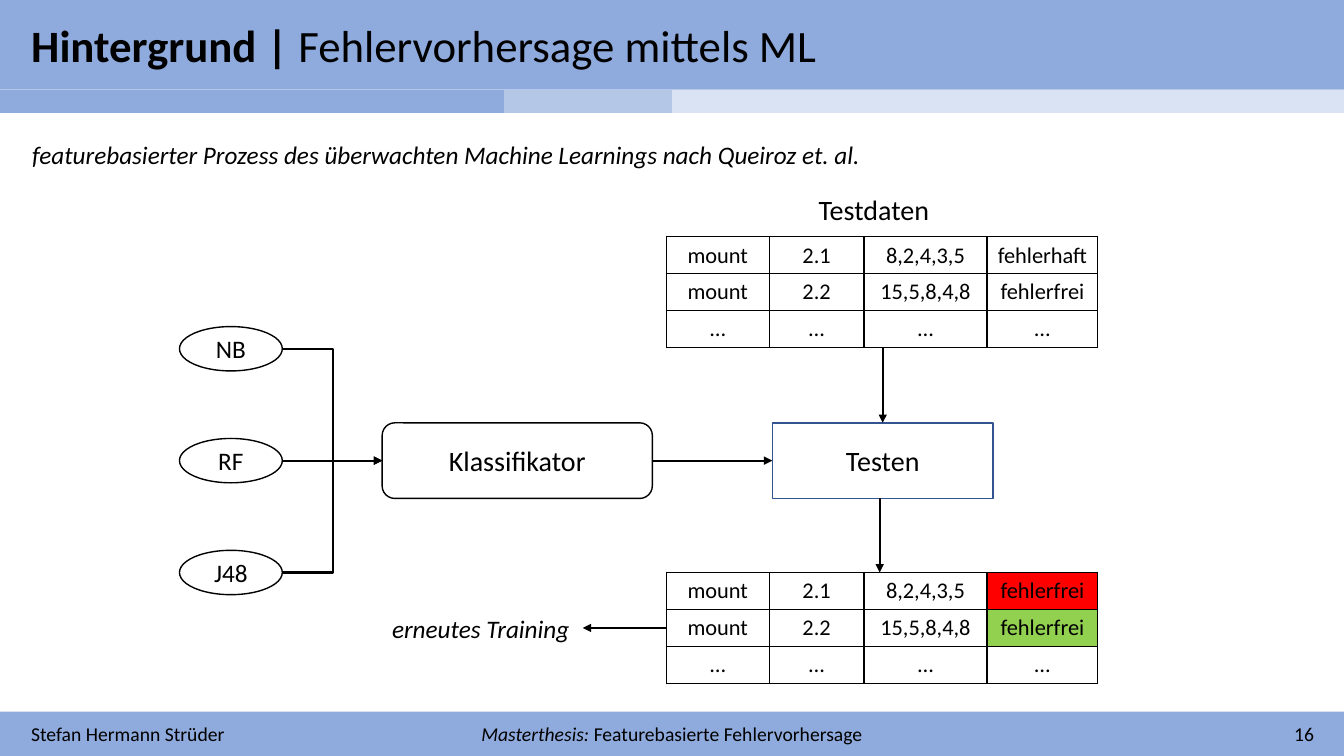
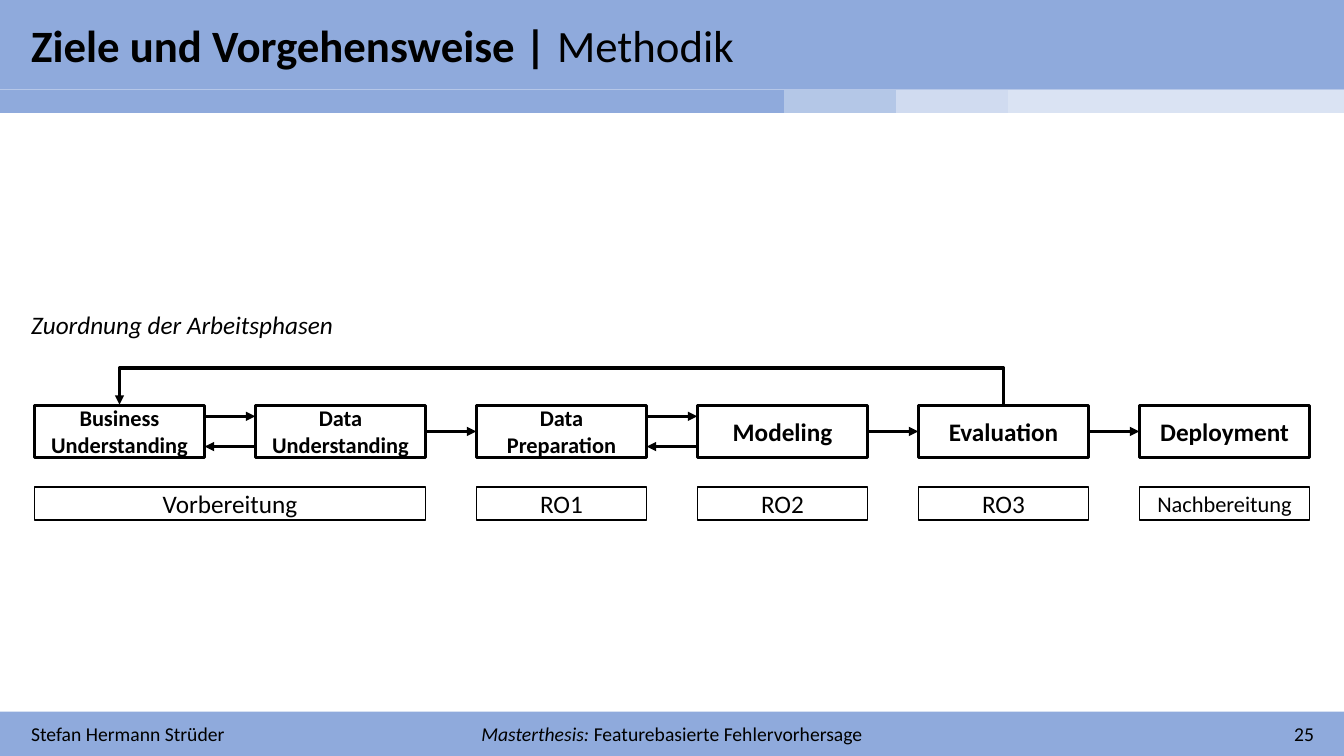
from lxml import etree
from pptx import Presentation
from pptx.dml.color import RGBColor
from pptx.enum.shapes import MSO_CONNECTOR, MSO_SHAPE
from pptx.enum.text import MSO_ANCHOR, MSO_AUTO_SIZE, PP_ALIGN
from pptx.oxml.ns import qn
from pptx.util import Inches, Pt

RECT, ROUNDED, OVAL = MSO_SHAPE.RECTANGLE, MSO_SHAPE.ROUNDED_RECTANGLE, MSO_SHAPE.OVAL
STRAIGHT, ELBOW = MSO_CONNECTOR.STRAIGHT, MSO_CONNECTOR.ELBOW
LEFT, CENTER, RIGHT = PP_ALIGN.LEFT, PP_ALIGN.CENTER, PP_ALIGN.RIGHT
MIDDLE = MSO_ANCHOR.MIDDLE

FONT = "Calibri"
COLORS = {name: RGBColor.from_string(value) for name, value in {
    "text": "000000", "paper": "FFFFFF", "band": "8FAADC", "current": "B4C7E7",
    "next": "D0DBF0", "open": "DAE3F3", "testing": "325491",
    "wrong": "FF0000", "right": "92D050",
}.items()}
PLAIN_TABLE = "{2D5ABB26-0587-4C30-8999-92F81FD0307C}"
W, H = 13.33, 7.5
TITLE_H, PROGRESS_H, FOOTER_H = 0.89, 0.23, 0.44
PROGRESS_SHARES = [3, 1.5, 1.5, 1, 1, 1, 3]


def add_text(slide, at, text, size, align=LEFT, bold=False, italic=False,
             outline=None, weight=1, kind=RECT):
    """Add a text box, or an outlined white shape if an outline colour is given."""
    place = [Inches(length) for length in at]
    if outline:
        box = slide.shapes.add_shape(kind, *place)
        box.shadow.inherit = False
        box.fill.solid()
        box.fill.fore_color.rgb = COLORS["paper"]
        box.line.color.rgb = COLORS[outline]
        box.line.width = Pt(weight)
    else:
        box = slide.shapes.add_textbox(*place)
    frame = box.text_frame
    frame.word_wrap = True
    frame.vertical_anchor = MIDDLE
    frame.margin_top = frame.margin_bottom = 0
    frame.text = text
    for paragraph in frame.paragraphs:
        paragraph.alignment = align
        for run in paragraph.runs:
            run.font.name, run.font.size = FONT, Pt(size)
            run.font.bold, run.font.italic = bold, italic
            run.font.color.rgb = COLORS["text"]
    return box


def add_arrow(slide, start, end, weight=1.5, kind=STRAIGHT):
    arrow = slide.shapes.add_connector(kind, *[Inches(v) for v in (*start, *end)])
    arrow.line.color.rgb = COLORS["text"]
    arrow.line.width = Pt(weight)
    properties = arrow._element.spPr
    etree.SubElement(properties.find(qn("a:ln")), qn("a:tailEnd"), type="triangle")
    etree.SubElement(properties, qn("a:effectLst"))
    return arrow


prs = Presentation()
prs.slide_width, prs.slide_height = Inches(W), Inches(H)
title_only = prs.slide_layouts[5]

# Title, progress strip and footer of both slides
slides = []
for section, topic, number, progress in [
    ("Hintergrund | ", "Fehlervorhersage mittels ML", "16",
     ["band"] * 2 + ["current"] + ["open"] * 4),
    ("Ziele und Vorgehensweise | ", "Methodik", "25",
     ["band"] * 4 + ["current", "next", "open"]),
]:
    slide = prs.slides.add_slide(title_only)
    slides.append(slide)
    title = slide.shapes.title
    title.left, title.top = 0, 0
    title.width, title.height = Inches(W), Inches(TITLE_H)
    title.fill.solid()
    title.fill.fore_color.rgb = COLORS["band"]
    heading = title.text_frame
    heading.auto_size = MSO_AUTO_SIZE.NONE
    heading.vertical_anchor = MIDDLE
    heading.margin_left = Inches(0.31)
    heading.text = section
    heading.paragraphs[0].alignment = LEFT
    heading.paragraphs[0].add_run().text = topic
    for run, bold in zip(heading.paragraphs[0].runs, (True, False)):
        run.font.name, run.font.size, run.font.bold = FONT, Pt(32), bold
        run.font.color.rgb = COLORS["text"]

    strip = slide.shapes.add_table(1, len(progress), 0, Inches(TITLE_H),
                                   Inches(W), Inches(PROGRESS_H)).table
    strip.rows[0].height = Inches(PROGRESS_H)
    for column, share, cell, color in zip(strip.columns, PROGRESS_SHARES,
                                          strip.rows[0].cells, progress):
        column.width = Inches(W * share / sum(PROGRESS_SHARES))
        cell.margin_top = cell.margin_bottom = 0
        cell.fill.solid()
        cell.fill.fore_color.rgb = COLORS[color]
        etree.SubElement(cell.text_frame.paragraphs[0]._p, qn("a:endParaRPr"), sz="800")

    footer = slide.shapes.add_shape(RECT, 0, Inches(H - FOOTER_H),
                                    Inches(W), Inches(FOOTER_H))
    footer.shadow.inherit = False
    footer.fill.solid()
    footer.fill.fore_color.rgb = COLORS["band"]
    footer.line.fill.background()
    add_text(slide, (0.21, 7.11, 3.59, 0.34), "Stefan Hermann Strüder", 14)
    add_text(slide, (9.54, 7.11, 3.59, 0.34), number, 14, RIGHT)
    thesis = add_text(slide, (4.62, 7.11, 4.09, 0.34), "Masterthesis: ", 14, CENTER,
                      italic=True)
    subject = thesis.text_frame.paragraphs[0].add_run()
    subject.text = "Featurebasierte Fehlervorhersage"
    subject.font.name, subject.font.size = FONT, Pt(14)
    subject.font.color.rgb = COLORS["text"]

# Slide 1: from the learners through classifier and test to retraining
process, phases = slides
AXIS, STEP = 4.57, 1.11
CLASSIFIER_X, CLASSIFIER_W = 3.79, 2.68
TEST_X, TEST_W, BOX_H = 7.66, 2.19, 0.75
DATA_X, DATA_ROW = 6.61, 1.1 / 3
DATA_COLUMNS = [1.02, 0.94, 1.22, 1.1]
INPUT_Y, RESULT_Y = 2.35, 5.68

add_text(process, (0.22, 1.32, 8.43, 0.42),
         "featurebasierter Prozess des überwachten Machine Learnings nach Queiroz et. al.",
         18, italic=True)
add_text(process, (8.02, 1.86, 1.31, 0.44), "Testdaten", 20)
add_text(process, (3.79, 6.03, 1.98, 0.4), "erneutes Training", 18, italic=True)
for label, x, width, outline, kind in [
    ("Klassifikator", CLASSIFIER_X, CLASSIFIER_W, "text", ROUNDED),
    ("Testen", TEST_X, TEST_W, "testing", RECT),
]:
    add_text(process, (x, AXIS - BOX_H / 2, width, BOX_H), label, 20, CENTER,
             outline=outline, kind=kind)

for row, learner in enumerate(["NB", "RF", "J48"], start=-1):
    y = AXIS + row * STEP
    add_text(process, (1.78, y - 0.22, 1.02, 0.44), learner, 18, CENTER,
             outline="text", kind=OVAL)
    add_arrow(process, (2.81, y), (CLASSIFIER_X, AXIS), kind=ELBOW if row else STRAIGHT)

for top, verdicts, fills in [
    (INPUT_Y, ["fehlerhaft", "fehlerfrei"], [None, None]),
    (RESULT_Y, ["fehlerfrei", "fehlerfrei"], ["wrong", "right"]),
]:
    records = [["mount", "2.1", "8,2,4,3,5", verdicts[0]],
               ["mount", "2.2", "15,5,8,4,8", verdicts[1]],
               ["…"] * 4]
    data = process.shapes.add_table(3, 4, Inches(DATA_X), Inches(top),
                                    Inches(sum(DATA_COLUMNS)), Inches(3 * DATA_ROW)).table
    for column, width in zip(data.columns, DATA_COLUMNS):
        column.width = Inches(width)
    for row, record, verdict_fill in zip(data.rows, records, fills + [None]):
        row.height = Inches(DATA_ROW)
        for position, (cell, value) in enumerate(zip(row.cells, record)):
            cell.text = value
            cell.vertical_anchor = MIDDLE
            cell.margin_top = cell.margin_bottom = Inches(0.03)
            paragraph = cell.text_frame.paragraphs[0]
            paragraph.alignment = CENTER
            font = paragraph.runs[0].font
            font.name, font.size, font.color.rgb = FONT, Pt(16), COLORS["text"]
            for side in ("lnL", "lnR", "lnT", "lnB"):
                border = etree.SubElement(cell._tc.get_or_add_tcPr(), qn("a:" + side),
                                          w=str(Pt(1)))
                solid = etree.SubElement(border, qn("a:solidFill"))
                etree.SubElement(solid, qn("a:srgbClr"), val=str(COLORS["text"]))
            if verdict_fill and position == 3:
                cell.fill.solid()
                cell.fill.fore_color.rgb = COLORS[verdict_fill]
            else:
                cell.fill.background()

test_center = TEST_X + TEST_W / 2
for start, end in [
    ((CLASSIFIER_X + CLASSIFIER_W, AXIS), (TEST_X, AXIS)),
    ((test_center, INPUT_Y + 3 * DATA_ROW), (test_center, AXIS - BOX_H / 2)),
    ((test_center - 0.03, AXIS + BOX_H / 2), (test_center - 0.03, RESULT_Y)),
    ((DATA_X, RESULT_Y + 1.5 * DATA_ROW), (5.78, RESULT_Y + 1.5 * DATA_ROW)),
]:
    add_arrow(process, start, end)

# Slide 2: six phases on equal columns, matched to the stages of the thesis
FIRST_X, PITCH, PHASE_W = 0.34, 2.192, 1.69
PHASE_Y, PHASE_H, STAGE_Y, STAGE_H = 4.02, 0.52, 4.83, 0.33
PHASE_AXIS, PAIR_OFFSET = PHASE_Y + PHASE_H / 2, 0.15

add_text(phases, (0.21, 3.02, 3.26, 0.4), "Zuordnung der Arbeitsphasen", 18, italic=True)
for column, (phase, size) in enumerate([
    ("Business Understanding", 16), ("Data\nUnderstanding", 16), ("Data\nPreparation", 16),
    ("Modeling", 18), ("Evaluation", 18), ("Deployment", 18),
]):
    add_text(phases, (FIRST_X + column * PITCH, PHASE_Y, PHASE_W, PHASE_H), phase, size,
             CENTER, bold=True, outline="text", weight=2.25)

for column, span, stage, size in [
    (0, 2, "Vorbereitung", 18), (2, 1, "RO1", 18), (3, 1, "RO2", 18),
    (4, 1, "RO3", 18), (5, 1, "Nachbereitung", 16),
]:
    width = PHASE_W + (span - 1) * PITCH
    add_text(phases, (FIRST_X + column * PITCH, STAGE_Y, width, STAGE_H), stage, size,
             CENTER, outline="text")

for column, both_ways in enumerate([True, False, True, False, False]):
    gap_start = FIRST_X + column * PITCH + PHASE_W
    gap_end = FIRST_X + (column + 1) * PITCH
    y = PHASE_AXIS - PAIR_OFFSET * both_ways
    add_arrow(phases, (gap_start, y), (gap_end, y), 2.25)
    if both_ways:
        y = PHASE_AXIS + PAIR_OFFSET
        add_arrow(phases, (gap_end, y), (gap_start, y), 2.25)

# The way back from Evaluation: an elbow turned by 270 degrees
reach, rise, thickness = 4 * PITCH, 0.38, 0.01
middle_x = FIRST_X + PHASE_W / 2 + reach / 2
feedback = add_arrow(phases, (middle_x - thickness / 2, PHASE_Y + reach / 2),
                     (middle_x + thickness / 2, PHASE_Y - reach / 2), 2.25, ELBOW)
feedback._element.spPr.find(qn("a:xfrm")).set("rot", str(270 * 60000))
etree.SubElement(feedback._element.spPr.find(qn("a:prstGeom")).find(qn("a:avLst")),
                 qn("a:gd"), name="adj1", fmla=f"val {round(rise / thickness * 100000)}")

for slide in slides:
    for shape in slide.shapes:
        if shape.has_table:
            shape.table.first_row = shape.table.horz_banding = False
            shape._element.xpath(".//a:tableStyleId")[0].text = PLAIN_TABLE

prs.save("out.pptx")
